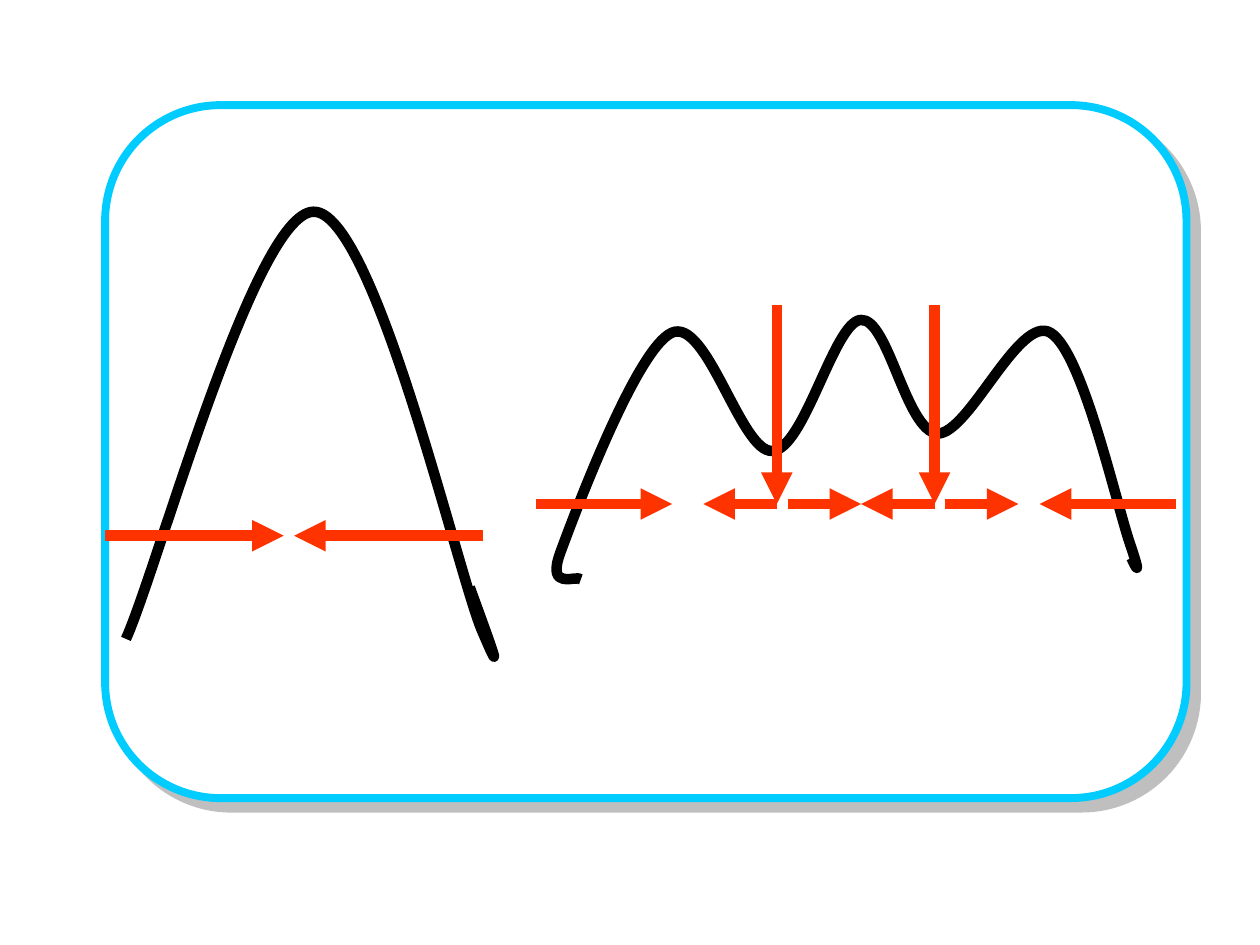
"""Draw a single peak beside a triple peak, with red arrows marking their widths."""
from dataclasses import dataclass

from lxml import etree
from pptx import Presentation
from pptx.dml.color import RGBColor
from pptx.enum.shapes import MSO_CONNECTOR, MSO_SHAPE
from pptx.oxml.ns import qn
from pptx.shapes.shapetree import SlideShapes
from pptx.util import Cm, Pt

ROUNDED_RECTANGLE = MSO_SHAPE.ROUNDED_RECTANGLE
STRAIGHT = MSO_CONNECTOR.STRAIGHT

WHITE = RGBColor(0xFF, 0xFF, 0xFF)
BLACK = RGBColor(0x00, 0x00, 0x00)
CYAN = RGBColor(0x00, 0xCC, 0xFF)
RED = RGBColor(0xFF, 0x33, 0x00)
GRAY = RGBColor(0x80, 0x80, 0x80)

Point = tuple[float, float]


@dataclass(frozen=True)
class Arrow:
    """An arrow from its tail to its head, in centimetres."""
    tail: Point
    head: Point


def level_arrow(tail_x: float, head_x: float, y: float) -> Arrow:
    """Return a horizontal arrow."""
    return Arrow((tail_x, y), (head_x, y))


SINGLE_LEVEL = 10.8
TRIPLE_LEVEL = 10.16
VALLEY_TOP = 6.14
LEFT_VALLEY, MIDDLE_PEAK, RIGHT_VALLEY = 15.66, 17.36, 18.84

SINGLE_PEAK: list[Point] = [
    (2.54, 12.88),
    (3.18, 11.46), (5.13, 4.29), (6.32, 4.27),
    (7.52, 4.24), (9.19, 11.4), (9.7, 12.67),
    (10.24, 13.94), (9.83, 12.83), (9.47, 11.84),
]
TRIPLE_PEAK: list[Point] = [
    (11.71, 11.68),
    (11.63, 11.58), (11, 11.94), (11.3, 11.13),
    (11.61, 10.29), (12.83, 7.04), (13.54, 6.71),
    (14.25, 6.38), (14.94, 9.14), (15.57, 9.09),
    (16.21, 9.07), (16.81, 6.5), (17.35, 6.45),
    (17.91, 6.4), (18.26, 8.69), (18.9, 8.74),
    (19.53, 8.76), (20.55, 6.32), (21.18, 6.71),
    (21.84, 7.11), (22.53, 10.29), (22.81, 11.05),
    (23.06, 11.81), (22.81, 11.25), (22.81, 11.25),
]
SINGLE_WIDTH = [
    level_arrow(2.12, 5.72, SINGLE_LEVEL),
    level_arrow(9.74, 5.93, SINGLE_LEVEL),
]
TRIPLE_MARKS = [
    [Arrow((x, VALLEY_TOP), (x, TRIPLE_LEVEL)) for x in (LEFT_VALLEY, RIGHT_VALLEY)],
    [level_arrow(19.05, 20.53, TRIPLE_LEVEL),
     level_arrow(RIGHT_VALLEY, MIDDLE_PEAK, TRIPLE_LEVEL)],
    [level_arrow(LEFT_VALLEY, 14.18, TRIPLE_LEVEL),
     level_arrow(15.88, MIDDLE_PEAK, TRIPLE_LEVEL)],
    [level_arrow(10.8, 13.55, TRIPLE_LEVEL),
     level_arrow(23.71, 20.96, TRIPLE_LEVEL)],
]


def draw_frame(shapes: SlideShapes) -> None:
    """Draw the rounded frame with its offset shadow."""
    frame = shapes.add_shape(ROUNDED_RECTANGLE, Cm(2.12), Cm(2.12), Cm(21.8), Cm(13.97))
    frame.fill.solid()
    frame.fill.fore_color.rgb = WHITE
    frame.line.color.rgb = CYAN
    frame.line.width = Pt(4.5)
    frame.shadow.inherit = False
    effects = frame._element.spPr.find(qn("a:effectLst"))
    shadow = etree.SubElement(effects, qn("a:outerShdw"), dist=str(Pt(8.5)),
                              dir="2700000", algn="ctr", rotWithShape="0")
    color = etree.SubElement(shadow, qn("a:srgbClr"), val=str(GRAY))
    etree.SubElement(color, qn("a:alpha"), val="50000")


def draw_curve(shapes: SlideShapes, points: list[Point]) -> None:
    """Draw a Bezier curve from a start point and triples of control points."""
    start, *controls = [(Cm(x), Cm(y)) for x, y in points]
    builder = shapes.build_freeform(*start)
    builder.add_line_segments(controls, close=False)
    curve = builder.convert_to_shape()
    outline = curve._element.spPr.find(".//" + qn("a:path"))
    segments = outline.findall(qn("a:lnTo"))
    for first in range(0, len(segments), 3):
        bezier = etree.SubElement(outline, qn("a:cubicBezTo"))
        for segment in segments[first:first + 3]:
            bezier.append(segment[0])
            outline.remove(segment)
    curve.fill.background()
    curve.line.color.rgb = BLACK
    curve.line.width = Pt(6)
    curve.shadow.inherit = False


def draw_arrows(shapes: SlideShapes, arrows: list[Arrow]) -> None:
    """Draw a group of red arrows."""
    group = shapes.add_group_shape()
    for arrow in arrows:
        ends = [Cm(value) for value in (*arrow.tail, *arrow.head)]
        connector = group.shapes.add_connector(STRAIGHT, *ends)
        connector.line.color.rgb = RED
        connector.line.width = Pt(6)
        properties = connector._element.spPr
        etree.SubElement(properties.find(qn("a:ln")), qn("a:tailEnd"), type="triangle")
        etree.SubElement(properties, qn("a:effectLst"))


def main() -> None:
    """Build and save the slide."""
    presentation = Presentation()
    presentation.slide_width = Cm(25.4)
    presentation.slide_height = Cm(19.05)
    slide = presentation.slides.add_slide(presentation.slide_layouts[6])
    draw_frame(slide.shapes)
    draw_curve(slide.shapes, SINGLE_PEAK)
    draw_arrows(slide.shapes, SINGLE_WIDTH)
    draw_curve(slide.shapes, TRIPLE_PEAK)
    for arrows in TRIPLE_MARKS:
        draw_arrows(slide.shapes, arrows)
    presentation.save("out.pptx")


if __name__ == "__main__":
    main()
